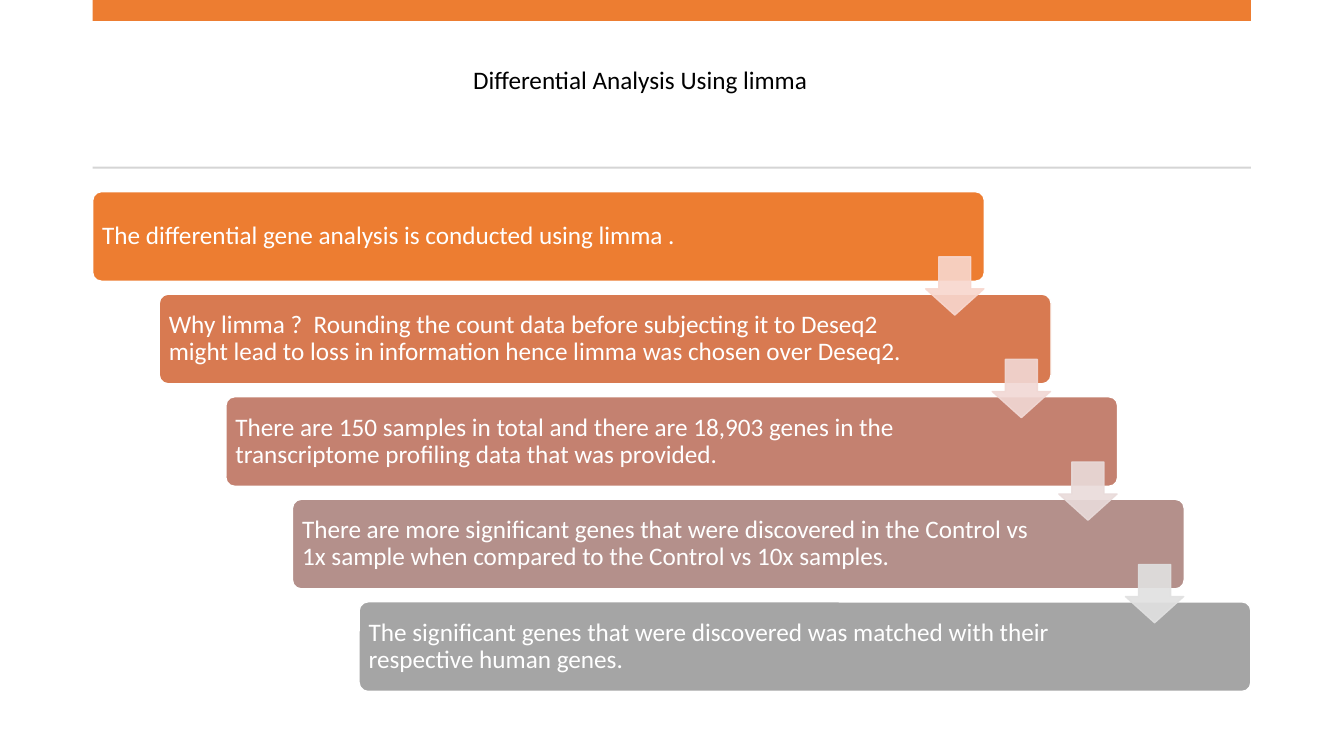
import pptx
import pptx.util
import pptx.dml.color
import pptx.enum.shapes
import pptx.enum.text
import pptx.oxml.ns
import lxml.etree

Pt = pptx.util.Pt
SHAPE = pptx.enum.shapes.MSO_SHAPE
ALIGN = pptx.enum.text.PP_ALIGN
ANCHOR = pptx.enum.text.MSO_ANCHOR

COLOURS = {"accent": "ED7D31", "rule": "D5D5D5", "black": "000000", "white": "FFFFFF"}

# Each step: wording, box fill, fill of the arrow that leads to the next step
STEPS = [
    ("The differential gene analysis is conducted using limma .", "ED7D31", "F8D7CE"),
    ("Why limma ?  Rounding the count data before subjecting it to Deseq2 might lead "
     "to loss in information hence limma was chosen over Deseq2.", "D87A51", "F1D8D4"),
    ("There are 150 samples in total and there are 18,903 genes in the transcriptome "
     "profiling data that was provided.", "C48170", "E9DBDA"),
    ("There are more significant genes that were discovered in the Control vs 1x sample "
     "when compared to the Control vs 10x samples.", "B4908B", "E1E1E1"),
    ("The significant genes that were discovered was matched with their respective "
     "human genes.", "A5A5A5", None),
]


def rgb(value):
    return pptx.dml.color.RGBColor.from_string(value)


def write(shape, text, colour, size=18, align=ALIGN.LEFT, anchor=ANCHOR.MIDDLE,
          margins=(7.2, 3.6, 7.2, 3.6), line_spacing=1.0):
    """Fill a shape with one paragraph; margins are left, top, right, bottom."""
    frame = shape.text_frame
    frame.word_wrap = True
    frame.auto_size = pptx.enum.text.MSO_AUTO_SIZE.NONE
    frame.vertical_anchor = anchor
    (frame.margin_left, frame.margin_top,
     frame.margin_right, frame.margin_bottom) = map(Pt, margins)
    frame.text = text
    paragraph = frame.paragraphs[0]
    paragraph.alignment = align
    paragraph.line_spacing = line_spacing
    font = paragraph.runs[0].font
    font.name, font.size, font.color.rgb = "Calibri", Pt(size), rgb(colour)


def add_block(slide, kind, box, fill, line=None, adjustments=()):
    block = slide.shapes.add_shape(kind, *map(Pt, box))
    block.shadow.inherit = False
    block.fill.solid()
    block.fill.fore_color.rgb = rgb(fill)
    if line:
        block.line.color.rgb = rgb(line)
        block.line.width = Pt(1)
    else:
        block.line.fill.background()
    for index, value in enumerate(adjustments):
        block.adjustments[index] = value
    return block


def set_opacity(block, percent):
    for colour in block.fill._xPr.iter(pptx.oxml.ns.qn("a:srgbClr")):
        alpha = lxml.etree.SubElement(colour, pptx.oxml.ns.qn("a:alpha"))
        alpha.set("val", str(percent * 1000))


def add_header(slide, left, top, width, height):
    """Place the accent bar, the title and the rule that closes the header."""
    add_block(slide, SHAPE.RECTANGLE, (left, top, width, 15), COLOURS["accent"])
    add_block(slide, SHAPE.RECTANGLE, (left, top + height, width, 1.5), COLOURS["rule"])
    title = slide.shapes.title
    title.left, title.top = Pt(left + 168.5), Pt(top + 42.5)
    title.width, title.height = Pt(449.3), Pt(29)
    write(title, "Differential Analysis Using limma ", COLOURS["black"],
          align=ALIGN.CENTER, anchor=ANCHOR.TOP)


def add_staircase(slide, left, top, width, height):
    """Place the steps from top left to bottom right, with arrows between them."""
    step_width, step_height, arrow_size = 637, 64, 41.6
    gaps = len(STEPS) - 1
    shift = (width - step_width) / gaps
    drop = (height - step_height) / gaps
    corners = [(left + i * shift, top + i * drop) for i in range(len(STEPS))]

    for (x, y), (text, fill, _) in zip(corners, STEPS):
        step = add_block(slide, SHAPE.ROUNDED_RECTANGLE, (x, y, step_width, step_height),
                         fill, line=COLOURS["white"], adjustments=[0.1])
        write(step, text, COLOURS["white"], margins=(5, 5, 95, 5), line_spacing=0.9)

    for (x, y), (_, _, tint) in zip(corners[:-1], STEPS):
        arrow = add_block(slide, SHAPE.DOWN_ARROW,
                          (x + 595, y + 46.6, arrow_size, arrow_size),
                          tint, line=tint, adjustments=[0.55, 0.45])
        set_opacity(arrow, 90)


def main():
    deck = pptx.Presentation()
    deck.slide_width, deck.slide_height = Pt(960), Pt(540)
    slide = deck.slides.add_slide(deck.slide_layouts.get_by_name("Title Only"))
    add_header(slide, 66.2, 0, 827.3, 119)
    add_staircase(slide, 66.2, 136.9, 827.3, 357)
    deck.save("out.pptx")


if __name__ == "__main__":
    main()
